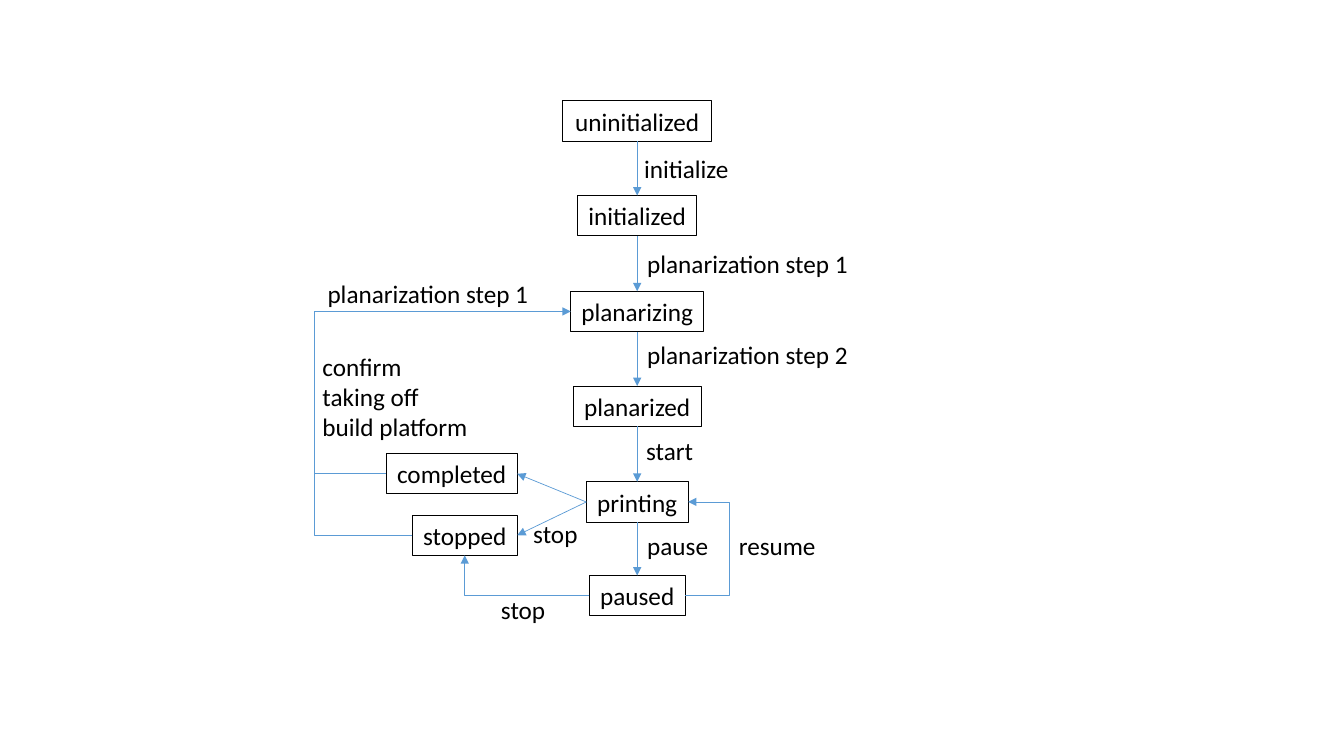
from dataclasses import dataclass
from itertools import pairwise

from lxml import etree
from pptx import Presentation
from pptx import util as u
from pptx.dml.color import RGBColor
from pptx.enum import shapes, text
from pptx.oxml import ns

TOP, LEFT, BOTTOM, RIGHT = range(4)
STRAIGHT, ELBOW = shapes.MSO_CONNECTOR.STRAIGHT, shapes.MSO_CONNECTOR.ELBOW


@dataclass(frozen=True)
class Theme:
    """Colours, type and line sizes of the diagram."""
    ink: RGBColor = RGBColor(0, 0, 0)
    arrow: RGBColor = RGBColor(0x5B, 0x9B, 0xD5)
    font: str = "Calibri"
    size: float = 18
    box_line: float = 0.75
    arrow_line: float = 0.5
    row: float = 0.4


@dataclass(frozen=True)
class Box:
    """A region of the slide, in inches."""
    x: float
    y: float
    w: float
    h: float


THEME = Theme()


def write(sp, words, align):
    """Put formatted lines of text into a shape."""
    tf = sp.text_frame
    frame = {"word_wrap": False, "auto_size": text.MSO_AUTO_SIZE.SHAPE_TO_FIT_TEXT,
             "vertical_anchor": text.MSO_ANCHOR.MIDDLE}
    for name, value in frame.items():
        setattr(tf, name, value)
    tf.text = words
    for p in tf.paragraphs:
        p.alignment = align
        for name, value in {"name": THEME.font, "size": u.Pt(THEME.size)}.items():
            setattr(p.font, name, value)
        p.font.color.rgb = THEME.ink


def add_state(s, words, x, y, w):
    """Add an outlined state box."""
    sp = s.shapes.add_shape(shapes.MSO_SHAPE.RECTANGLE, *map(u.Inches, (x, y, w, THEME.row)))
    sp.shadow.inherit = False
    sp.fill.background()
    sp.line.color.rgb = THEME.ink
    sp.line.width = u.Pt(THEME.box_line)
    write(sp, words, text.PP_ALIGN.CENTER)
    return sp


def add_label(s, words, x, y, w, h=THEME.row):
    """Add the name of a transition."""
    write(s.shapes.add_textbox(*map(u.Inches, (x, y, w, h))), words, text.PP_ALIGN.LEFT)


def side_point(sp, side):
    """Return the middle of one side of a state box."""
    return {TOP: (sp.left + sp.width // 2, sp.top),
            LEFT: (sp.left, sp.top + sp.height // 2),
            BOTTOM: (sp.left + sp.width // 2, sp.top + sp.height),
            RIGHT: (sp.left + sp.width, sp.top + sp.height // 2)}[side]


def add_line(s, kind, start, end, head=True):
    """Add a thin connector, with an arrowhead at its end if wanted."""
    c = s.shapes.add_connector(kind, *start, *end)
    c.line.color.rgb = THEME.arrow
    c.line.width = u.Pt(THEME.arrow_line)
    if head:
        etree.SubElement(c.line._get_or_add_ln(), ns.qn("a:tailEnd"), type="triangle")
    etree.SubElement(c._element.spPr, ns.qn("a:effectLst"))
    return c


def join(s, a, a_side, b, b_side):
    """Join two states by a straight arrow."""
    c = add_line(s, STRAIGHT, side_point(a, a_side), side_point(b, b_side))
    c.begin_connect(a, a_side)
    c.end_connect(b, b_side)


def bend(s, a, a_side, b, b_side, via_x=None):
    """Join two states by a bent arrow, through a vertical run at via_x or one corner."""
    start, end = side_point(a, a_side), side_point(b, b_side)
    geom = add_line(s, ELBOW, start, end)._element.spPr.find(ns.qn("a:prstGeom"))
    if via_x is None:
        geom.set("prst", "bentConnector2")
        return
    ratio = round((u.Inches(via_x) - start[0]) / (end[0] - start[0]) * 100000)
    guides = geom.find(ns.qn("a:avLst"))
    etree.SubElement(guides, ns.qn("a:gd"), name="adj1", fmla=f"val {ratio}")


def main_flow(s, box):
    """Draw the column of states from uninitialized to paused and return them."""
    middle = box.x + box.w / 2
    states = {}
    for name, y, w in (("uninitialized", 0, 1.48), ("initialized", 0.94, 1.18),
                       ("planarizing", 1.89, 1.32), ("planarized", 2.83, 1.27),
                       ("printing", 3.78, 1.01), ("paused", 4.71, 0.95)):
        states[name] = add_state(s, name, middle - w / 2, box.y + y, w)
    for upper, lower in pairwise(states.values()):
        join(s, upper, BOTTOM, lower, TOP)
    for words, dx, y, w in (("initialize", -0.03, 0.47, 1.05),
                            ("planarization step 1", 0, 1.41, 2.22),
                            ("planarization step 2", 0, 2.32, 2.22),
                            ("start", -0.01, 3.27, 0.67), ("pause", 0, 4.21, 0.81),
                            ("resume", 0.91, 4.21, 0.97)):
        add_label(s, words, middle + dx, box.y + y, w)
    bend(s, states["paused"], RIGHT, states["printing"], RIGHT, middle + 0.92)
    return states


def return_loop(s, box, flow):
    """Draw the end states and the way back to planarizing."""
    right = box.x + box.w
    completed = add_state(s, "completed", right - 1.3, box.y + 1.79, 1.3)
    stopped = add_state(s, "stopped", right - 1.04, box.y + 2.4, 1.04)
    for state in (completed, stopped):
        join(s, flow["printing"], LEFT, state, RIGHT)
    bend(s, stopped, LEFT, flow["planarizing"], LEFT, box.x)
    start = side_point(completed, LEFT)
    add_line(s, STRAIGHT, start, (u.Inches(box.x), start[1]), False).begin_connect(completed, LEFT)
    bend(s, flow["paused"], LEFT, stopped, BOTTOM)
    for words, x, y, *size in (("stop", 2.07, 2.38, 0.65), ("stop", 1.75, 3.14, 0.65),
                               ("confirm\ntaking off\nbuild platform", -0.02, 0.72, 1.66, 1.01),
                               ("planarization step 1", 0.03, 0, 2.22)):
        add_label(s, words, box.x + x, box.y + y, *size)


def main():
    """Build and save the state diagram slide."""
    prs = Presentation()
    prs.slide_width, prs.slide_height = u.Inches(13.33), u.Inches(7.5)
    s = prs.slides.add_slide(prs.slide_layouts[6])
    flow = main_flow(s, Box(5.58, 1, 1.48, 5.11))
    return_loop(s, Box(3.12, 2.71, 2.01, 3.54), flow)
    prs.save("out.pptx")


if __name__ == "__main__":
    main()
